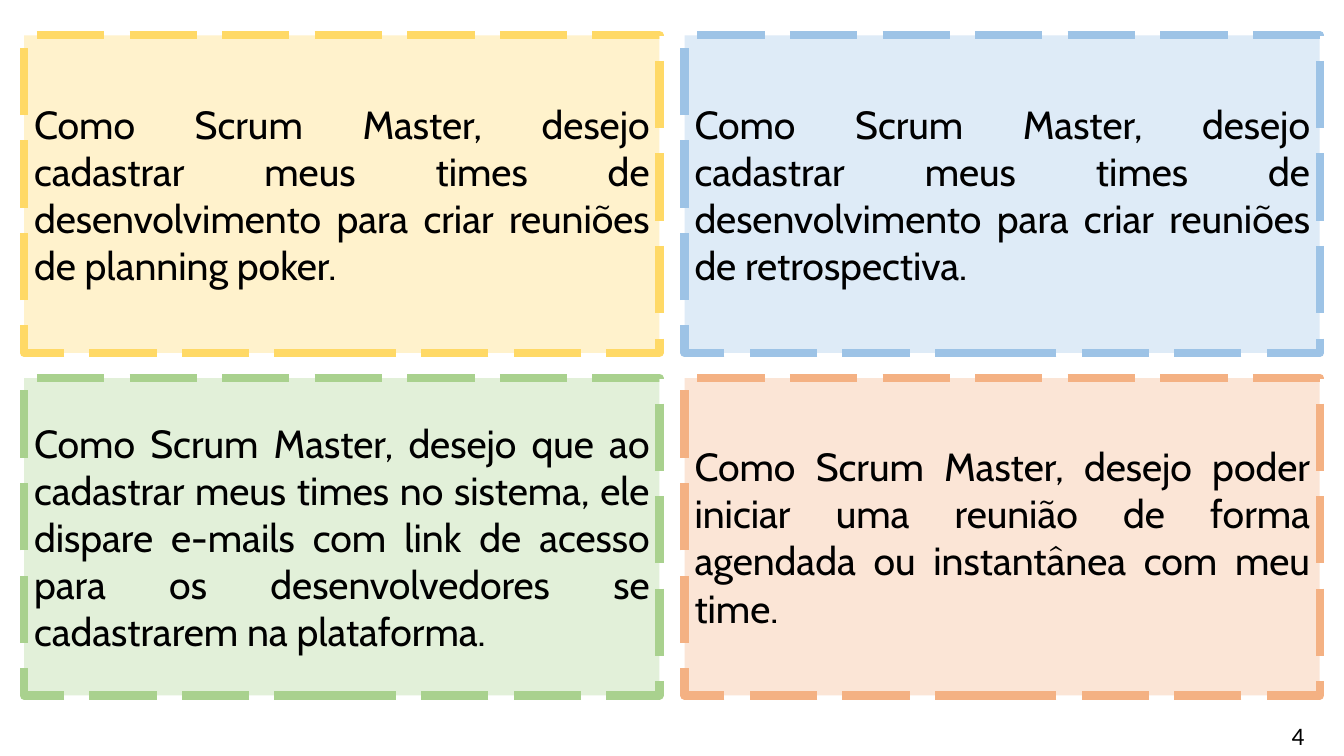
from pptx import Presentation
from pptx.dml.color import RGBColor
from pptx.enum.dml import MSO_LINE
from pptx.enum.shapes import MSO_SHAPE
from pptx.enum.text import MSO_ANCHOR, PP_ALIGN
from pptx.util import Inches, Pt

BLACK = RGBColor(0x00, 0x00, 0x00)
CREAM = RGBColor(0xFF, 0xF2, 0xCC)
GOLD = RGBColor(0xFF, 0xD9, 0x66)
PALE_BLUE = RGBColor(0xDE, 0xEB, 0xF7)
BLUE = RGBColor(0x9D, 0xC3, 0xE6)
PALE_GREEN = RGBColor(0xE2, 0xF0, 0xD9)
GREEN = RGBColor(0xA9, 0xD1, 0x8E)
PEACH = RGBColor(0xFB, 0xE5, 0xD6)
ORANGE = RGBColor(0xF4, 0xB1, 0x83)

STORIES = [
    ("Como Scrum Master, desejo cadastrar meus times de desenvolvimento "
     "para criar reuniões de planning poker.", CREAM, GOLD),
    ("Como Scrum Master, desejo cadastrar meus times de desenvolvimento "
     "para criar reuniões de retrospectiva.", PALE_BLUE, BLUE),
    ("Como Scrum Master, desejo que ao cadastrar meus times no sistema, ele "
     "dispare e-mails com link de acesso para os desenvolvedores se "
     "cadastrarem na plataforma.", PALE_GREEN, GREEN),
    ("Como Scrum Master, desejo poder iniciar uma reunião de forma agendada "
     "ou instantânea com meu time.", PEACH, ORANGE),
]
COLUMNS = 2
LEFT, TOP = 0.24, 0.35
CARD_WIDTH, CARD_HEIGHT = 6.3, 3.15
COLUMN_STEP, ROW_STEP = 6.55, 3.4


def apply_format(target, values):
    for name, value in values.items():
        setattr(target, name, value)


class StorySlide:
    story_font = {"name": "Cabin", "size": Pt(28)}
    number_font = {"name": "Calibri", "size": Pt(18)}
    border = {"width": Pt(6), "dash_style": MSO_LINE.LONG_DASH}

    def __init__(self, presentation):
        self.slide = presentation.slides.add_slide(presentation.slide_layouts[6])

    def set_wording(self, frame, wording, font, alignment, anchor):
        apply_format(frame, {"word_wrap": True, "vertical_anchor": anchor})
        paragraph = frame.paragraphs[0]
        paragraph.alignment = alignment
        run = paragraph.add_run()
        run.text = wording
        apply_format(run.font, font)
        run.font.color.rgb = BLACK

    def story_card(self, left, top, story, fill, edge):
        card = self.slide.shapes.add_shape(
            MSO_SHAPE.RECTANGLE, Inches(left), Inches(top),
            Inches(CARD_WIDTH), Inches(CARD_HEIGHT))
        card.shadow.inherit = False
        card.fill.solid()
        card.fill.fore_color.rgb = fill
        card.line.color.rgb = edge
        apply_format(card.line, self.border)
        self.set_wording(card.text_frame, story, self.story_font,
                         PP_ALIGN.JUSTIFY, MSO_ANCHOR.MIDDLE)

    def page_number(self, number):
        corner = self.slide.shapes.add_textbox(
            Inches(12.66), Inches(7.1), Inches(0.43), Inches(0.4))
        self.set_wording(corner.text_frame, number, self.number_font,
                         PP_ALIGN.CENTER, MSO_ANCHOR.TOP)


def main():
    presentation = Presentation()
    apply_format(presentation, {"slide_width": Inches(13.33),
                                "slide_height": Inches(7.5)})
    stories = StorySlide(presentation)
    for position, (story, fill, edge) in enumerate(STORIES):
        row, column = divmod(position, COLUMNS)
        stories.story_card(LEFT + column * COLUMN_STEP, TOP + row * ROW_STEP,
                           story, fill, edge)
    stories.page_number("4")
    presentation.save("out.pptx")


if __name__ == "__main__":
    main()
